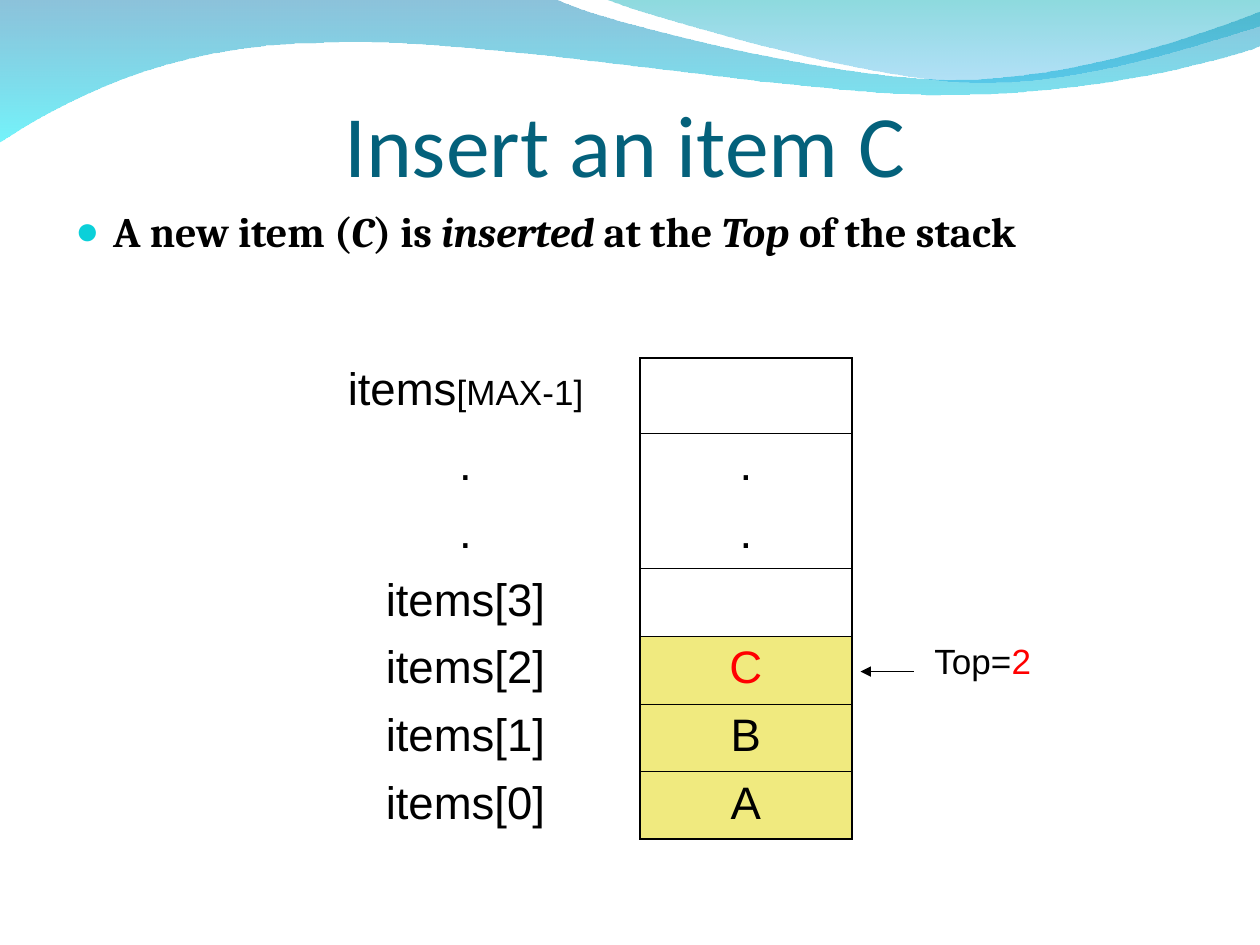
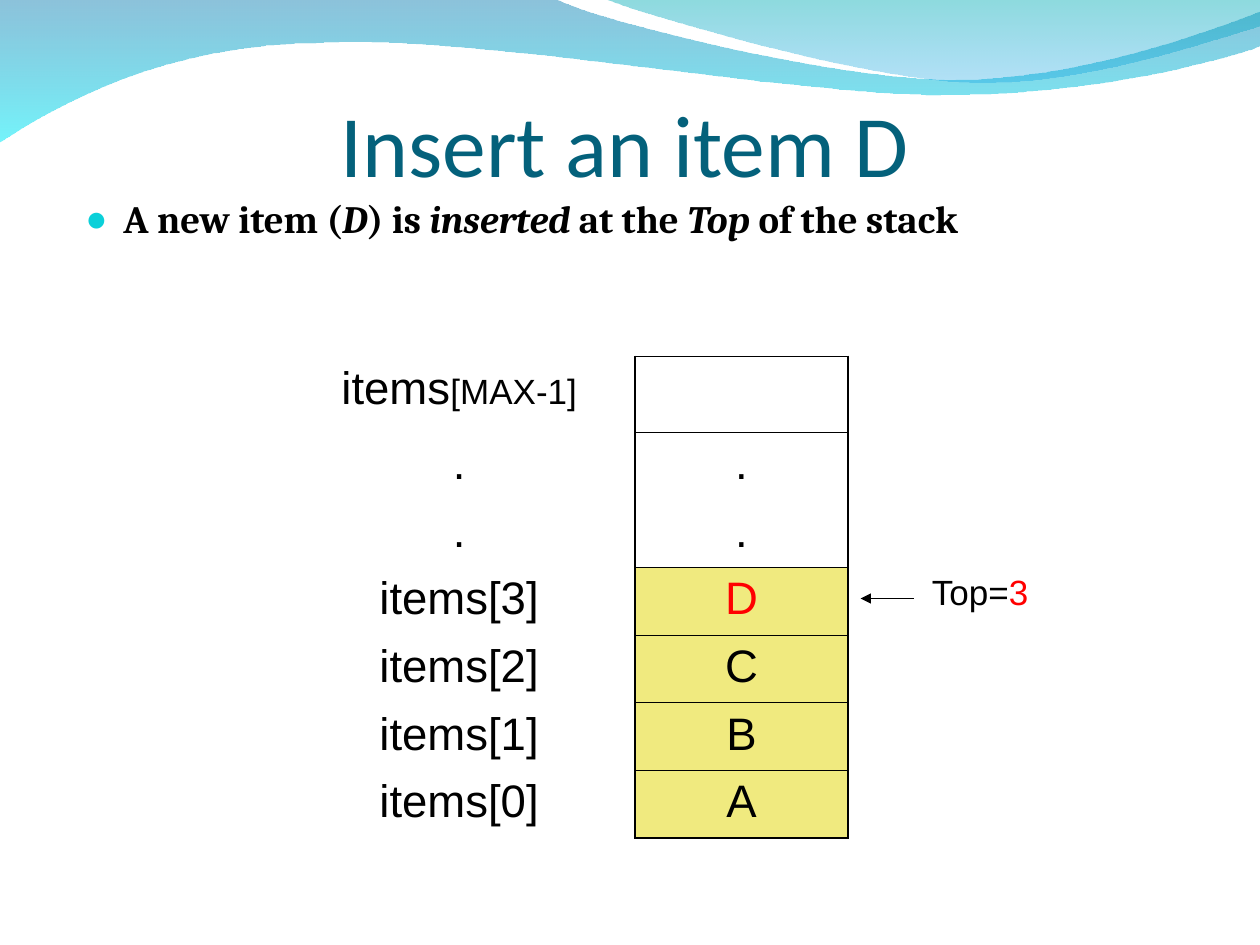
from dataclasses import dataclass

import pptx
import pptx.util
from lxml import etree
from pptx.dml.color import RGBColor
from pptx.enum.shapes import MSO_CONNECTOR
from pptx.enum.text import MSO_ANCHOR, PP_ALIGN
from pptx.oxml import parse_xml
from pptx.oxml.ns import nsdecls, qn

WIDTH = pptx.util.Inches(10)
HEIGHT = pptx.util.Inches(7.5)
GRID_COLS = 100
UNIT = WIDTH / GRID_COLS

BLACK = RGBColor(0x00, 0x00, 0x00)
RED = RGBColor(0xFF, 0x00, 0x00)
TITLE_BLUE = RGBColor(0x04, 0x61, 0x7B)
BULLET_CYAN = RGBColor(0x0B, 0xD0, 0xD9)
FILLED_YELLOW = RGBColor(0xE2, 0xD7, 0x00)
WAVE_BLUE = RGBColor(0x00, 0x79, 0xAF)
WAVE_AQUA = RGBColor(0x00, 0xEB, 0xF8)
WAVE_TEAL = RGBColor(0x00, 0xAD, 0xB6)
WAVE_SKY = RGBColor(0x00, 0x9B, 0xE5)

NO_GRID_STYLE = "{2D5ABB26-0587-4C30-8999-92F81FD0307C}"
ROW_HEIGHTS = [6] + [5.37] * 6
DOT_ROWS = (1, 2)
THICK, THIN, NONE = 1.08, 0.45, 0


@dataclass(frozen=True)
class Box:
    left: float
    top: float
    width: float
    height: float

    def emu(self) -> list[int]:
        return [grid(v) for v in (self.left, self.top, self.width, self.height)]


@dataclass(frozen=True)
class Span:
    text: str
    size: float
    color: RGBColor = BLACK
    font: str = "Arial"
    bold: bool = False
    italic: bool = False


@dataclass(frozen=True)
class Wave:
    start: tuple
    segments: list
    stops: list


@dataclass(frozen=True)
class StackSlide:
    items: str
    title: Box
    body: Box
    body_size: float
    table: Box
    columns: list
    arrow_y: float


WAVES = [
    Wave((0, -0.1),
         [[(44, -0.1)],
          [(47.6, 1.7), (66.4, 6.3), (75.8, 6.3)],
          [(85.3, 6.3), (95.8, 2.6), (100, 0.9)],
          [(100.1, 3.6)],
          [(98.3, 4.4), (87, 7.6), (74.6, 7.5)],
          [(62.2, 7.5), (38.2, 2.8), (25.7, 3.4)],
          [(12.9, 3.5), (4.6, 8.3), (-0.1, 11.3)]],
         [(WAVE_BLUE, 45), (WAVE_AQUA, 55)]),
    Wave((47.9, -0.1),
         [[(50.9, 1.1), (68.2, 6.2), (76.9, 6.5)],
          [(85.6, 6.9), (96.1, 3.2), (100, 2.1)],
          [(100, 0)]],
         [(WAVE_TEAL, 45), (WAVE_SKY, 30)]),
]

SLIDES = [
    StackSlide("ABC", Box(5, 4.2, 89.2, 11.3), Box(5, 15.8, 91.7, 9.2), 24,
               Box(23.1, 28.4, 65.3, 38.2), [27.7, 16.8, 20.8], 53.3),
    StackSlide("ABCD", Box(5, 5, 89.2, 10.5), Box(5.8, 15, 90.8, 8.3), 22.1,
               Box(22.5, 28.3, 65.8, 38.2), [27.9, 16.9, 21], 47.5),
]


def grid(value: float) -> int:
    return round(value * UNIT)


def set_alpha(color_element, percent: int) -> None:
    etree.SubElement(color_element, qn("a:alpha")).set("val", str(percent * 1000))


def bend_lines(sp, segments: list) -> None:
    lines = iter(sp.element.xpath(".//a:path/a:lnTo"))
    for segment in segments:
        steps = [next(lines) for _ in segment]
        if len(steps) == 3:
            curve = etree.Element(qn("a:cubicBezTo"))
            steps[0].addprevious(curve)
            for step in steps:
                curve.append(step[0])
                step.getparent().remove(step)


def draw_wave(s, wave: Wave):
    points = [wave.start] + [point for segment in wave.segments for point in segment]
    emu = [(grid(x), grid(y)) for x, y in points]
    builder = s.shapes.build_freeform(*emu[0])
    builder.add_line_segments(emu[1:], close=True)
    sp = builder.convert_to_shape()
    bend_lines(sp, wave.segments)
    sp.shadow.inherit = False
    sp.line.fill.background()
    sp.fill.gradient()
    sp.fill.gradient_angle = 270
    for stop, (color, _) in zip(sp.fill.gradient_stops, wave.stops):
        stop.color.rgb = color
    for element, (_, alpha) in zip(sp.element.xpath(".//a:gs/a:srgbClr"), wave.stops):
        set_alpha(element, alpha)
    return sp


def write(p, spans: list[Span], space_before: float = 0) -> None:
    p.space_before = pptx.util.Pt(space_before)
    for span in spans:
        r = p.add_run()
        r.text = span.text
        r.font.name = span.font
        r.font.size = pptx.util.Pt(span.size)
        r.font.bold = span.bold
        r.font.italic = span.italic
        r.font.color.rgb = span.color


def draw_title(s, box: Box, text: str) -> None:
    tf = s.shapes.add_textbox(*box.emu()).text_frame
    tf.word_wrap = True
    tf.vertical_anchor = MSO_ANCHOR.BOTTOM
    tf.margin_left = tf.margin_right = tf.margin_bottom = 0
    p = tf.paragraphs[0]
    p.alignment = PP_ALIGN.CENTER
    write(p, [Span(text, 50, TITLE_BLUE, "Calibri")])


def draw_body(s, box: Box, item: str, size: float) -> None:
    tf = s.shapes.add_textbox(*box.emu()).text_frame
    tf.word_wrap = True
    p = tf.paragraphs[0]
    parts = ["A new item (", item, ") is ", "inserted ", "at the ", "Top ", "of the stack"]
    write(p, [Span(part, size, font="Cambria", bold=True, italic=i % 2 == 1)
              for i, part in enumerate(parts)], 6.5)
    pPr = p._p.get_or_add_pPr()
    pPr.set("marL", str(grid(3)))
    pPr.set("indent", str(grid(-3)))
    for xml in (f'<a:buClr {nsdecls("a")}><a:srgbClr val="{BULLET_CYAN}"/></a:buClr>',
                f'<a:buSzPct {nsdecls("a")} val="95000"/>',
                f'<a:buFont {nsdecls("a")} typeface="Arial"/>',
                f'<a:buChar {nsdecls("a")} char="●"/>'):
        pPr.append(parse_xml(xml))


def set_borders(cell, **widths: float) -> None:
    tcPr = cell._tc.get_or_add_tcPr()
    for side, width in widths.items():
        fill = f'<a:solidFill><a:srgbClr val="{BLACK}"/></a:solidFill>' if width else "<a:noFill/>"
        tcPr.append(parse_xml(f'<a:ln{side} {nsdecls("a")} w="{pptx.util.Pt(width)}">'
                              f'{fill}</a:ln{side}>'))


def slot_borders(row: int) -> dict[str, float]:
    edges = [THICK, THIN, NONE] + [THIN] * (len(ROW_HEIGHTS) - 3) + [THICK]
    return {"L": THICK, "R": THICK, "T": edges[row], "B": edges[row + 1]}


def row_texts(row: int, items: str) -> list[list[Span]]:
    if row == 0:
        return [[Span("items", 26), Span("[MAX-1]", 20)], [], []]
    if row in DOT_ROWS:
        return [[Span(".", 26)], [Span(".", 26)], []]
    index, top = len(ROW_HEIGHTS) - 1 - row, len(items) - 1
    slot = [Span(items[index], 26, RED if index == top else BLACK)] if index <= top else []
    marker = [Span("Top=", 20), Span(str(top), 20, RED)] if index == top else []
    return [[Span(f"items[{index}]", 26)], slot, marker]


def draw_stack(s, data: StackSlide) -> None:
    table = s.shapes.add_table(len(ROW_HEIGHTS), len(data.columns), *data.table.emu()).table
    table.first_row = table.horz_banding = False
    table._tbl.xpath("./a:tblPr/a:tableStyleId")[0].text = NO_GRID_STYLE
    for column, width in zip(table.columns, data.columns):
        column.width = grid(width)
    for row, height in enumerate(ROW_HEIGHTS):
        table.rows[row].height = grid(height)
        label, slot, marker = (table.cell(row, col) for col in range(3))
        set_borders(slot, **slot_borders(row))
        set_borders(marker, L=THICK)
        for cell, spans in zip((label, slot, marker), row_texts(row, data.items)):
            cell.fill.background()
            p = cell.text_frame.paragraphs[0]
            p.alignment = PP_ALIGN.CENTER
            if spans:
                write(p, spans, 5 if spans[-1].size == 20 else 6.5)
        if len(ROW_HEIGHTS) - row <= len(data.items):
            slot.fill.solid()
            slot.fill.fore_color.rgb = FILLED_YELLOW
            set_alpha(slot._tc.xpath("./a:tcPr/a:solidFill/a:srgbClr")[0], 50)


def draw_top_arrow(s, y: float) -> None:
    line = s.shapes.add_connector(MSO_CONNECTOR.STRAIGHT,
                                  grid(72.5), grid(y), grid(68.3), grid(y))
    line.line.color.rgb = BLACK
    line.line.width = pptx.util.Pt(0.75)
    etree.SubElement(line.line._get_or_add_ln(), qn("a:tailEnd")).set("type", "triangle")
    etree.SubElement(line.element.spPr, qn("a:effectLst"))


def main() -> None:
    prs = pptx.Presentation()
    prs.slide_width, prs.slide_height = WIDTH, HEIGHT
    slides = [prs.slides.add_slide(prs.slide_layouts[6]) for _ in SLIDES]
    for wave in WAVES:
        sp = draw_wave(slides[0], wave)
        prs.slide_master.shapes.element.append(sp.element)
    for s, data in zip(slides, SLIDES):
        item = data.items[-1]
        draw_title(s, data.title, f"Insert an item {item}")
        draw_body(s, data.body, item, data.body_size)
        draw_stack(s, data)
        draw_top_arrow(s, data.arrow_y)
    prs.save("out.pptx")


if __name__ == "__main__":
    main()
